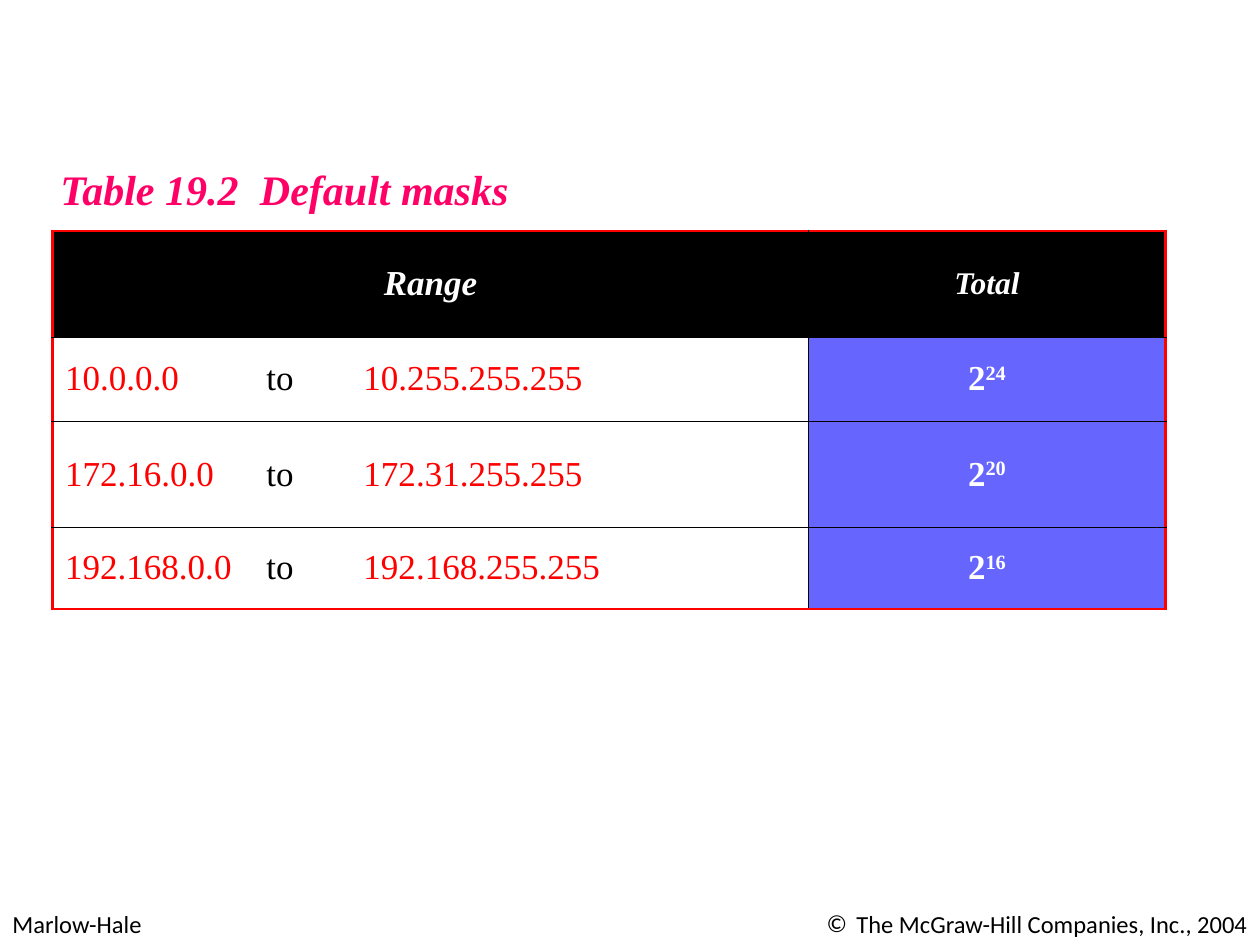
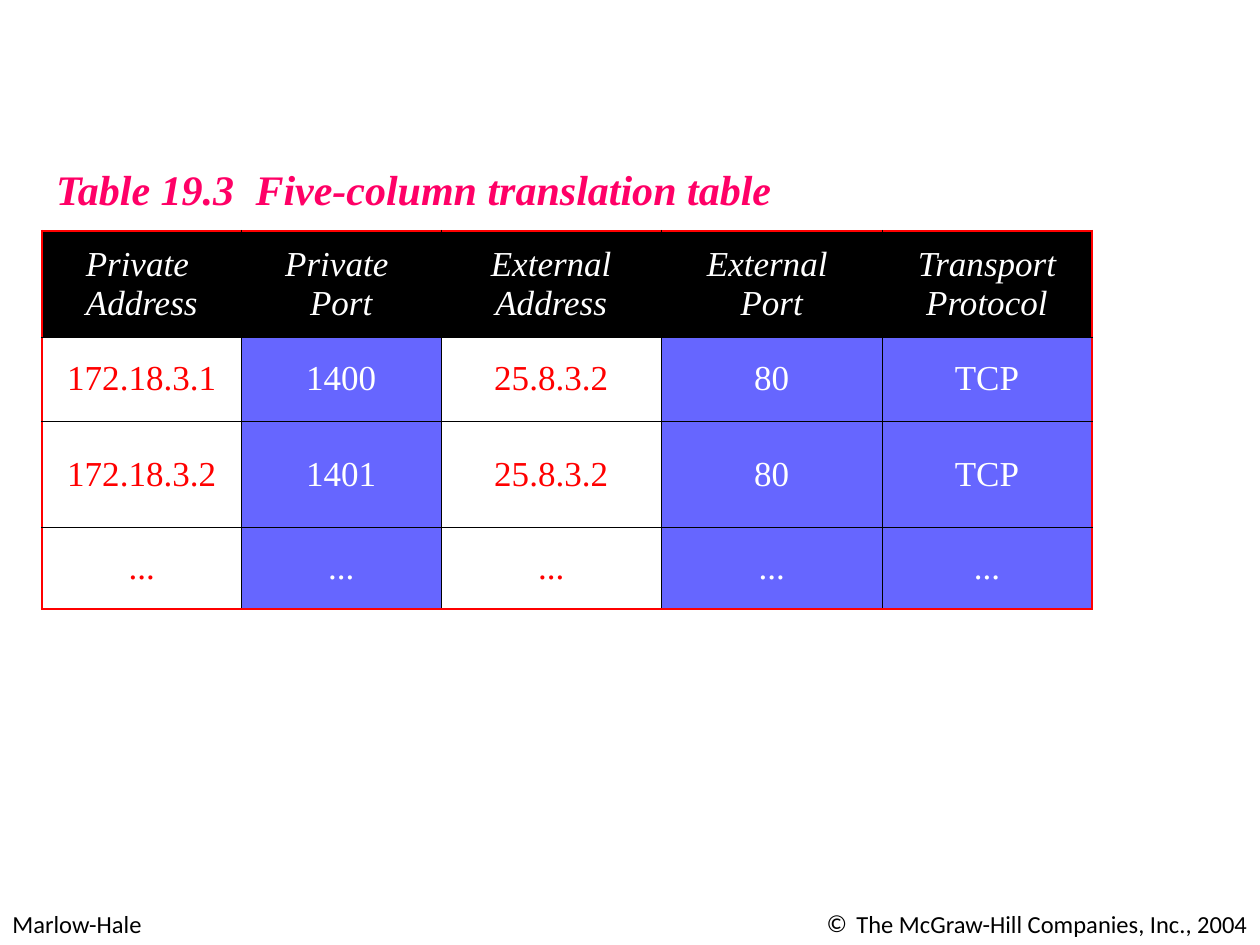
from lxml import etree
from pptx import Presentation
from pptx.dml.color import RGBColor
from pptx.enum.text import MSO_ANCHOR as ANCHOR, PP_ALIGN as ALIGN
from pptx.oxml.ns import qn
from pptx.util import Pt

BLACK = RGBColor(0x00, 0x00, 0x00)
WHITE = RGBColor(0xFF, 0xFF, 0xFF)
RED = RGBColor(0xFF, 0x00, 0x00)
PINK = RGBColor(0xFF, 0x00, 0x66)
VIOLET = RGBColor(0x66, 0x66, 0xFF)
SERIF, SANS = "Times New Roman", "Calibri"
ROW_HEIGHTS = (60.5, 48.25, 60.5, 46.75)
TABLE_TOP = 132


def add_text(slide, box, text, font, size, color, tabs=()):
    """Add a one-line text box and return its paragraph."""
    tf = slide.shapes.add_textbox(*(Pt(v) for v in box)).text_frame
    tf.word_wrap = True
    p = tf.paragraphs[0]
    p.text = text
    f = p.runs[0].font
    f.name, f.size, f.color.rgb = font, Pt(size), color
    set_tabs(p, tabs)
    return p


def set_tabs(p, stops):
    if stops:
        tab_list = etree.SubElement(p._p.get_or_add_pPr(), qn("a:tabLst"))
        for stop in stops:
            etree.SubElement(tab_list, qn("a:tab"), pos=str(Pt(stop)), algn="l")


# Each cell is a tuple of runs
masks = [
    [("Range",), ("Total",)],
    [("10.0.0.0", "\tto", "\t10.255.255.255"), ("2", "24")],
    [("172.16.0.0", "\tto", "\t172.31.255.255"), ("2", "20")],
    [("192.168.0.0", "\tto", "\t192.168.255.255"), ("2", "16")],
]
headings = ("Private \vAddress", "Private \vPort", "External\vAddress",
            "External \vPort", "Transport\vProtocol")
translations = [
    [(text,) for text in row] for row in (
        headings,
        ("172.18.3.1", "1400", "25.8.3.2", "80", "TCP"),
        ("172.18.3.2", "1401", "25.8.3.2", "80", "TCP"),
        ("...",) * 5,
    )
]
# title, title left, title width, table left, column widths, white columns, bold, rows
pages = [
    ("Table 19.2\tDefault masks", 27.5, 285, 30, (432, 204), (0,), True, masks),
    ("Table 19.3\tFive-column translation table", 25, 435, 24,
     (114, 114, 126, 126, 120), (0, 2), False, translations),
]

prs = Presentation()
prs.slide_width, prs.slide_height = Pt(720), Pt(540)
tables = []

for title, title_left, title_width, left, widths, white_cols, bold, rows in pages:
    s = prs.slides.add_slide(prs.slide_layouts[6])

    add_text(s, (0, 516, 174, 24.5), "Marlow-Hale", SANS, 14, BLACK)
    p = add_text(s, (360, 516, 360, 24.5),
                 "The McGraw-Hill Companies, Inc., 2004", SANS, 14, BLACK)
    p.alignment = ALIGN.RIGHT
    pPr = p._p.get_or_add_pPr()
    pPr.set("marL", str(Pt(17)))
    pPr.set("indent", str(-Pt(17)))
    etree.SubElement(pPr, qn("a:buFont"), typeface=SANS)
    etree.SubElement(pPr, qn("a:buChar"), char="©")

    p = add_text(s, (title_left, 90, title_width, 36), title, SERIF, 24, PINK, (114,))
    p.runs[0].font.bold = p.runs[0].font.italic = True

    table = s.shapes.add_table(len(rows), len(widths), Pt(left), Pt(TABLE_TOP),
                               Pt(sum(widths)), Pt(sum(ROW_HEIGHTS))).table
    table.first_row = table.horz_banding = False
    for column, width in zip(table.columns, widths):
        column.width = Pt(width)
    for row, height in zip(table.rows, ROW_HEIGHTS):
        row.height = Pt(height)

    for i, row in enumerate(rows):
        for j, runs in enumerate(row):
            cell = table.cell(i, j)
            header = i == 0
            white = not header and j in white_cols

            outer_edges = {"L": j == 0, "R": j == len(row) - 1,
                           "T": header, "B": i == len(rows) - 1}
            tcPr = cell._tc.get_or_add_tcPr()
            for side, outer in outer_edges.items():
                ln = etree.SubElement(tcPr, qn(f"a:ln{side}"),
                                      w=str(Pt(1.47 if outer else 0.45)))
                line_fill = etree.SubElement(ln, qn("a:solidFill"))
                etree.SubElement(line_fill, qn("a:srgbClr"),
                                 val=str(RED if outer else BLACK))
            cell.fill.solid()
            cell.fill.fore_color.rgb = BLACK if header else WHITE if white else VIOLET

            cell.vertical_anchor = ANCHOR.MIDDLE
            p = cell.text_frame.paragraphs[0]
            p.alignment = ALIGN.CENTER
            for text in runs:
                if header:
                    p.text = text
                else:
                    p.add_run().text = text
            for r in p.runs:
                f = r.font
                f.name, f.size = SERIF, Pt(20)
                f.bold, f.italic = bold and not white, header
                f.color.rgb = RED if white else WHITE
    tables.append(table)

# Address ranges line up on tabs; totals are powers of two
mask_table = tables[0]
mask_table.cell(0, 1).text_frame.paragraphs[0].runs[0].font.size = Pt(18)
for i in range(1, len(masks)):
    address_range, total = (mask_table.cell(i, j).text_frame.paragraphs[0] for j in (0, 1))
    address_range.alignment = ALIGN.LEFT
    set_tabs(address_range, (115, 170.5))
    address_range.runs[1].font.color.rgb = BLACK
    total.runs[1]._r.get_or_add_rPr().set("baseline", "30000")

prs.save("out.pptx")
